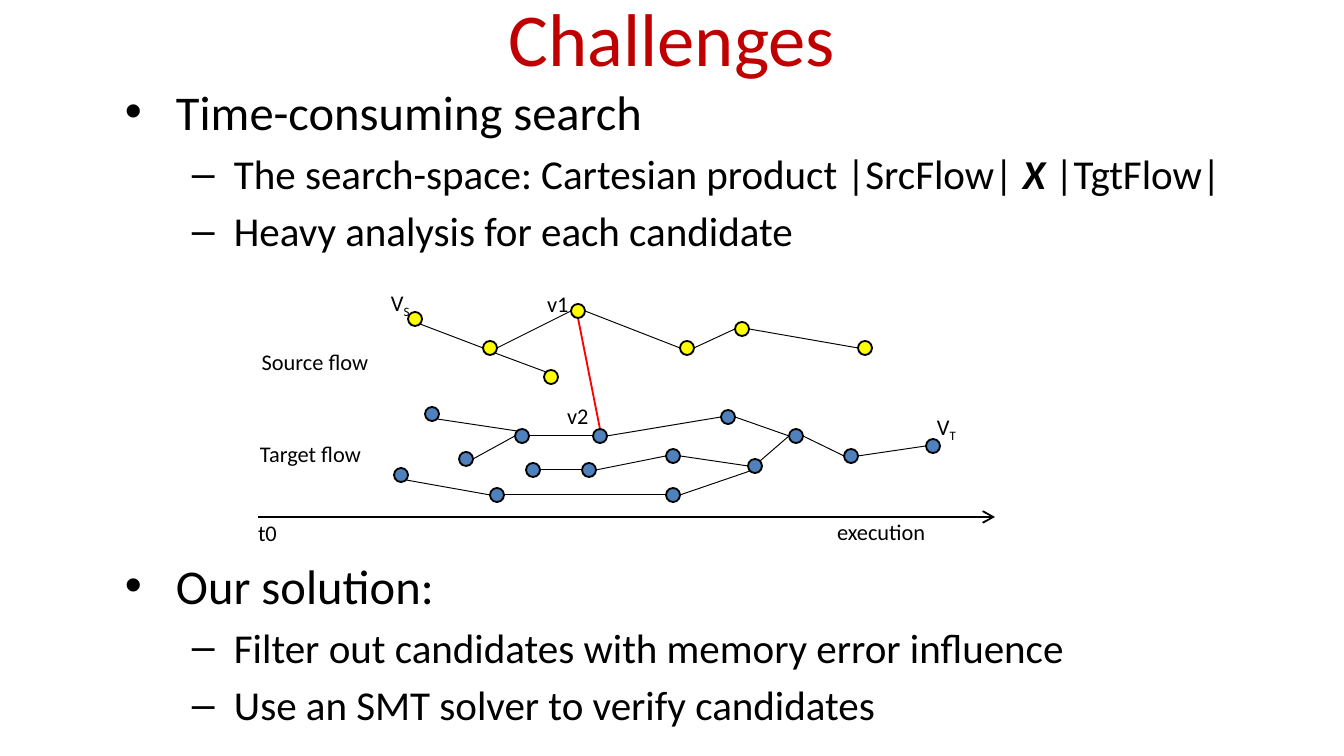
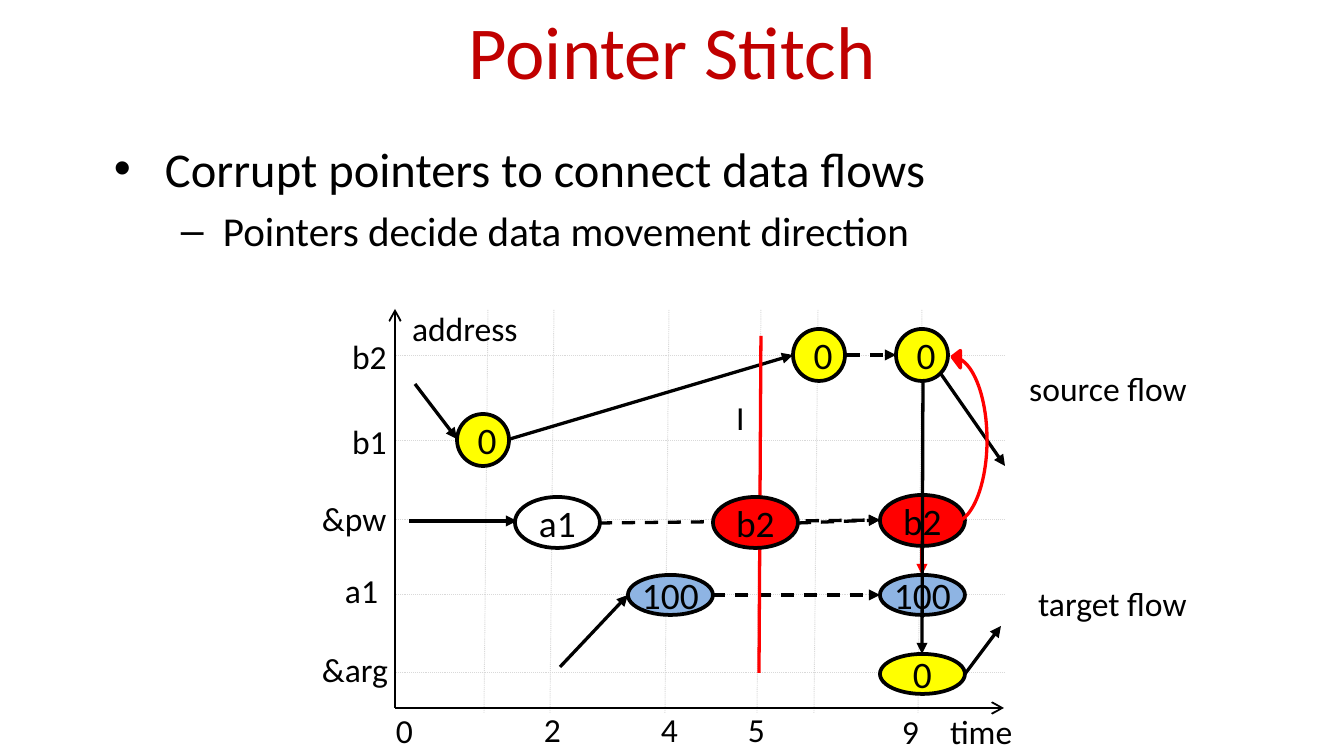
"""Build two slides on stitching data flows."""
from dataclasses import dataclass
from typing import Any, NamedTuple

from pptx import Presentation
from pptx.dml.color import RGBColor as Rgb
from pptx.enum.dml import MSO_LINE as Dash
from pptx.enum.shapes import MSO_CONNECTOR as Conn, MSO_SHAPE as Kind
from pptx.enum.text import MSO_ANCHOR as Anchor, PP_ALIGN as Align
from pptx.oxml.ns import qn
from pptx.oxml.xmlchemy import OxmlElement as Elem
from pptx.util import Emu, Pt

SCALE = 914400 / 134.4
FONT = "Calibri"
HUES = {
    "black": "000000", "white": "FFFFFF", "title": "C00000", "red": "FF0000",
    "yellow": "FFFF00", "blue": "4F81BD", "sky": "8EB4E3", "grid": "D9D9D9",
}
PADS = {"margin_left": 13, "margin_right": 13, "margin_top": 7, "margin_bottom": 7}
BOLD = {"bold": True, "italic": True}


class Box(NamedTuple):
    x: int
    y: int
    w: int
    h: int


class Line(NamedTuple):
    x1: int
    y1: int
    x2: int
    y2: int
    hue: str = "black"
    width: float = 1.75
    head: str = ""
    dash: Any = None


class Link(NamedTuple):
    start: str
    end: str
    out: str = "r"
    into: str = "l"


@dataclass
class Item:
    runs: list[str]
    level: int = 0
    gap: float = 0


@dataclass
class Label:
    text: str
    box: Box
    size: int = 18
    pad: bool = True
    align: Any = Align.LEFT
    wrap: bool = True


@dataclass
class Oval:
    text: str
    box: Box
    fill: str
    pad: bool = False


def px(val: float) -> Emu:
    """Turn pixels into EMU."""
    return Emu(round(val * SCALE))


def put(obj: Any, vals: dict[str, Any]) -> None:
    """Set each named value on an object."""
    for name, val in vals.items():
        setattr(obj, name, val)


def tint(hue: str) -> Rgb:
    """Look up a colour."""
    return Rgb.from_string(HUES[hue])


def frame(shape: Any, pad: bool, anchor: Any, wrap: bool = True) -> Any:
    """Prepare the text frame of a shape."""
    body = shape.text_frame
    put(body, {name: px(val if pad else 0) for name, val in PADS.items()})
    put(body, {"word_wrap": wrap, "vertical_anchor": anchor})
    return body


def write(para: Any, text: str, size: float, hue: str = "black") -> Any:
    """Add one run of text."""
    run = para.add_run()
    run.text = text
    put(run.font, {"name": FONT, "size": Pt(size), "bold": False, "italic": False})
    run.font.color.rgb = tint(hue)
    return run


def panel(slide: Any, box: Box) -> Any:
    """Add an empty text box."""
    return slide.shapes.add_textbox(*map(px, box))


def title(slide: Any, text: str, top: int) -> None:
    """Draw the slide title."""
    body = frame(panel(slide, Box(67, top, 1210, 126)), True, Anchor.MIDDLE)
    para = body.paragraphs[0]
    para.alignment = Align.CENTER
    write(para, text, 40, "title")


def bullets(slide: Any, box: Box, items: list[Item]) -> None:
    """Draw a two-level list."""
    body = frame(panel(slide, box), True, Anchor.TOP)
    for num, item in enumerate(items):
        para = body.add_paragraph() if num else body.paragraphs[0]
        size, left, hang, mark = ((26, 51, 51, "•"), (22, 109, 42, "–"))[item.level]
        put(para, {"level": item.level, "space_before": Pt(item.gap or size / 5)})
        props = para._p.get_or_add_pPr()
        props.set("marL", str(px(left)))
        props.set("indent", str(px(-hang)))
        for tag, key, val in (("a:buFont", "typeface", "Arial"), ("a:buChar", "char", mark)):
            part = Elem(tag)
            part.set(key, val)
            props.append(part)
        for text in item.runs:
            run = write(para, text, size)
            if text == "X":
                put(run.font, BOLD)


def label(slide: Any, tag: Label) -> None:
    """Draw a label, with a subscript after an underscore."""
    body = frame(panel(slide, tag.box), tag.pad, Anchor.TOP, tag.wrap)
    para = body.paragraphs[0]
    para.alignment = tag.align
    for num, text in enumerate(tag.text.split("_")):
        run = write(para, text, tag.size)
        if num:
            run.font._element.set("baseline", "-25000")


def line(slide: Any, item: Line) -> None:
    """Draw a line or an arrow."""
    ends = map(px, item[:4])
    wire = slide.shapes.add_connector(Conn.STRAIGHT, *ends)
    wire.line.color.rgb = tint(item.hue)
    wire.line.width = Pt(item.width)
    if item.dash:
        wire.line.dash_style = item.dash
    if item.head:
        tip = Elem("a:tailEnd")
        tip.set("type", item.head)
        wire.line._get_or_add_ln().append(tip)
    wire._element.spPr.append(Elem("a:effectLst"))


def solid(slide: Any, kind: Any, box: Box, fill: str, edge: str, width: float) -> Any:
    """Draw a filled shape without a shadow."""
    shape = slide.shapes.add_shape(kind, *map(px, box))
    shape.shadow.inherit = False
    shape.fill.solid()
    shape.fill.fore_color.rgb = tint(fill)
    shape.line.color.rgb = tint(edge)
    shape.line.width = Pt(width)
    return shape


def oval(slide: Any, item: Oval) -> None:
    """Draw an oval with its value."""
    shape = solid(slide, Kind.OVAL, item.box, item.fill, "black", 2)
    para = frame(shape, item.pad, Anchor.MIDDLE).paragraphs[0]
    para.alignment = Align.CENTER
    write(para, item.text, 20)


def graph(slide: Any) -> None:
    """Draw the source and target flows."""
    src = {
        "s0": (415, 319), "s1": (490, 348), "s2": (578, 311), "s3": (551, 377),
        "s4": (687, 348), "s5": (742, 329), "s6": (865, 348),
    }
    tgt = {
        "a": (432, 414), "b": (466, 459), "c": (522, 436), "d": (600, 436),
        "e": (728, 417), "f": (796, 436), "g": (755, 466), "h": (851, 456),
        "i": (933, 446), "j": (673, 456), "k": (589, 470), "l": (533, 470),
        "m": (673, 495), "n": (497, 495), "o": (401, 475),
    }
    side = {
        "l": (-7, 0), "r": (7, 0), "t": (0, -7), "b": (0, 7),
        "tl": (-5, -5), "tr": (5, -5), "bl": (-5, 5), "br": (5, 5),
    }
    dots = src | tgt

    def join(link: Link, hue: str, width: float) -> None:
        """Draw a line between two dots."""
        (ax, ay), (bx, by) = dots[link.start], dots[link.end]
        (au, av), (bu, bv) = side[link.out], side[link.into]
        line(slide, Line(ax + au, ay + av, bx + bu, by + bv, hue, width))

    join(Link("d", "s2", "t", "b"), "red", 1)
    for name, (x, y) in dots.items():
        fill = "yellow" if name in src else "blue"
        solid(slide, Kind.OVAL, Box(x - 7, y - 7, 14, 14), fill, "black", 1)
    links = [Link(*pair.split()) for pair in (
        "s1 s2", "s2 s4", "s4 s5", "s5 s6", "b c", "c d", "d e", "e f",
        "f h", "h i", "j g", "n m", "l k", "k j",
        "s0 s1 br", "s1 s3 br tl", "a c br tl", "o n br", "g f tr", "m g r bl",
    )]
    for link in links:
        join(link, "black", 0.5)


def first(slide: Any) -> None:
    """Build the slide on challenges."""
    title(slide, "Challenges", -26)
    bullets(slide, Box(112, 75, 1153, 680), [
        Item(["Time-consuming search"]),
        Item(["The search-space: Cartesian product |SrcFlow| ", "X", " |TgtFlow|"], 1),
        Item(["Heavy analysis for each candidate"], 1),
        Item(["Our solution:"], gap=161),
        Item(["Filter out candidates with memory error influence"], 1),
        Item(["Use an SMT solver to verify candidates"], 1),
    ])
    line(slide, Line(258, 517, 995, 517, width=1, head="arrow"))
    graph(slide)
    for tag in (
        Label("Source flow", Box(247, 341, 136, 40), 12, align=Align.CENTER),
        Label("Target flow", Box(235, 433, 151, 40), 12, align=Align.CENTER),
        Label("t0", Box(245, 512, 66, 40), 12),
        Label("execution", Box(824, 511, 195, 40), 12),
        Label("v1", Box(547, 290, 26, 27), 12, False),
        Label("v2", Box(567, 402, 26, 27), 12, False),
        Label("V_S", Box(391, 289, 35, 27), 12, False),
        Label("V_T", Box(937, 413, 27, 27), 12, False),
    ):
        label(slide, tag)


def chart(slide: Any) -> None:
    """Draw the grid, arrows and values over time."""
    for y in (355, 441, 520, 595, 673):
        line(slide, Line(396, y, 1004, y, "grid", 0.5, dash=Dash.ROUND_DOT))
    for x in (488, 554, 669, 761, 818, 922):
        line(slide, Line(x, 310, x - 4, 713, "grid", 0.5, dash=Dash.ROUND_DOT))
    for x, y in ((1004, 708), (395, 309)):
        line(slide, Line(395, 708, x, y, width=1, head="arrow"))
    tip = {"head": "triangle"}
    dash = tip | {"dash": Dash.DASH}
    for item in (
        Line(415, 384, 457, 439, **tip), Line(510, 439, 793, 355, **tip),
        Line(409, 521, 517, 521, **tip), Line(560, 667, 628, 595, **tip),
        Line(712, 595, 880, 595, **dash), Line(599, 523, 880, 520, **dash),
        Line(798, 523, 880, 520, **dash), Line(847, 355, 896, 355, **dash),
        Line(922, 546, 922, 575, "red", **tip), Line(759, 673, 761, 336, "red"),
    ):
        line(slide, item)
    for x, y in ((457, 414), (793, 329), (896, 329)):
        oval(slide, Oval("0", Box(x, y, 52, 52), "yellow", True))
    for text, x, y, h, fill in (
        ("a1", 515, 497, 51, "white"), ("b2", 713, 497, 51, "red"),
        ("b2", 880, 495, 51, "red"), ("100", 628, 575, 40, "sky"),
        ("100", 880, 575, 40, "sky"), ("0", 880, 654, 40, "yellow"),
    ):
        oval(slide, Oval(text, Box(x, y, 85, h), fill))
    for item in (
        Line(941, 374, 1005, 466, **tip), Line(965, 674, 1001, 626, **tip),
        Line(923, 382, 922, 654, **tip),
    ):
        line(slide, item)
    curve = solid(slide, Kind.CURVED_LEFT_ARROW, Box(952, 348, 35, 175), "red", "red", 1.75)
    for num, val in enumerate((0, 0.5, 0.24)):
        curve.adjustments[num] = val
    curve.rotation = 180
    curve._element.spPr.find(qn("a:xfrm")).set("flipH", "1")


def second(slide: Any) -> None:
    """Build the slide on pointer stitch."""
    title(slide, "Pointer Stitch", -13)
    chart(slide)
    for text, x, y, w in (
        ("b2", 339, 329, 63), ("b1", 339, 414, 63), ("&pw", 309, 491, 93),
        ("a1", 332, 563, 93), ("&arg", 309, 642, 93), ("0", 383, 703, 85),
        ("2", 531, 702, 42), ("4", 648, 702, 42), ("5", 735, 702, 42),
        ("9", 889, 704, 42), ("time", 937, 704, 101),
        ("address", 399, 301, 161), ("I", 723, 390, 46),
    ):
        label(slide, Label(text, Box(x, y, w, 54)))
    for text, x, y, w in (("source flow", 1028, 368, 160), ("target flow", 1037, 583, 151)):
        label(slide, Label(text, Box(x, y, w, 40), 18, False, Align.CENTER, False))
    bullets(slide, Box(101, 132, 1052, 145), [
        Item(["Corrupt pointers to connect data flows"]),
        Item(["Pointers decide data movement direction"], 1),
    ])


deck = Presentation()
put(deck, {"slide_width": px(1344), "slide_height": px(756)})
for build in (first, second):
    build(deck.slides.add_slide(deck.slide_layouts[6]))
deck.save("out.pptx")
